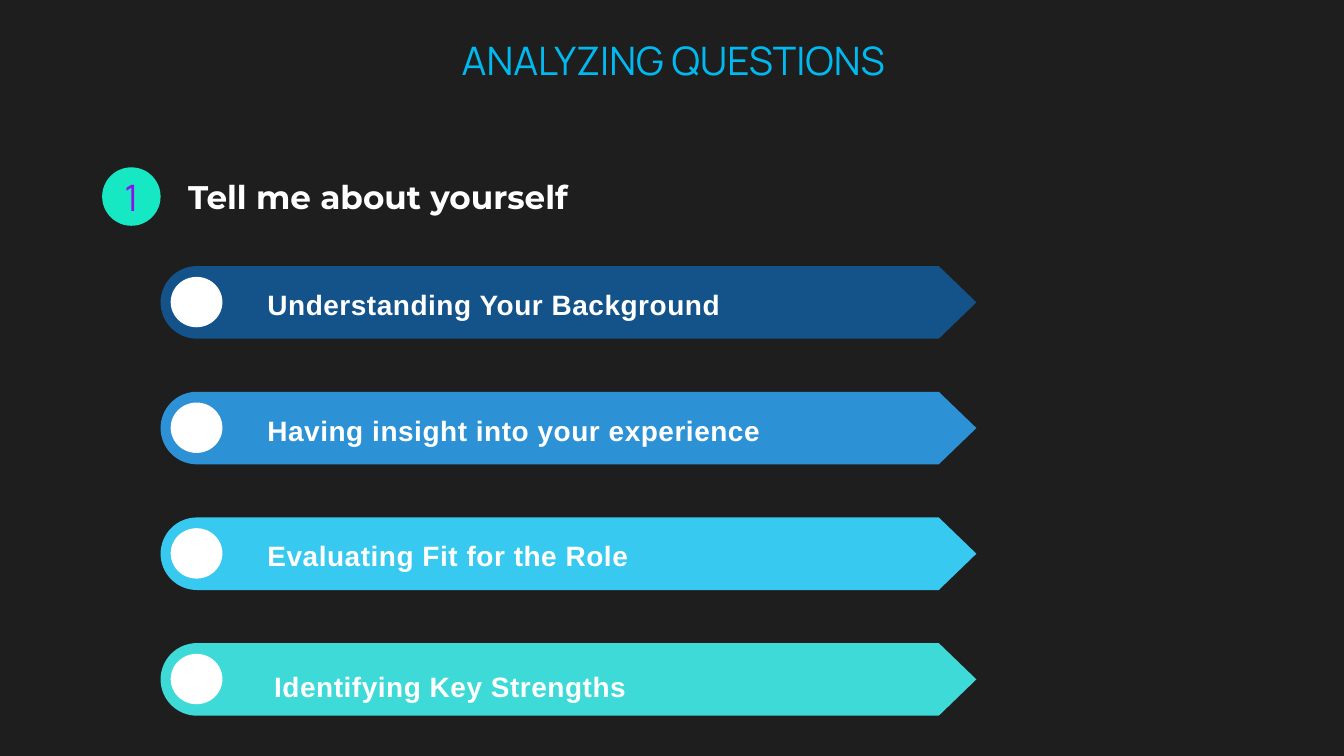
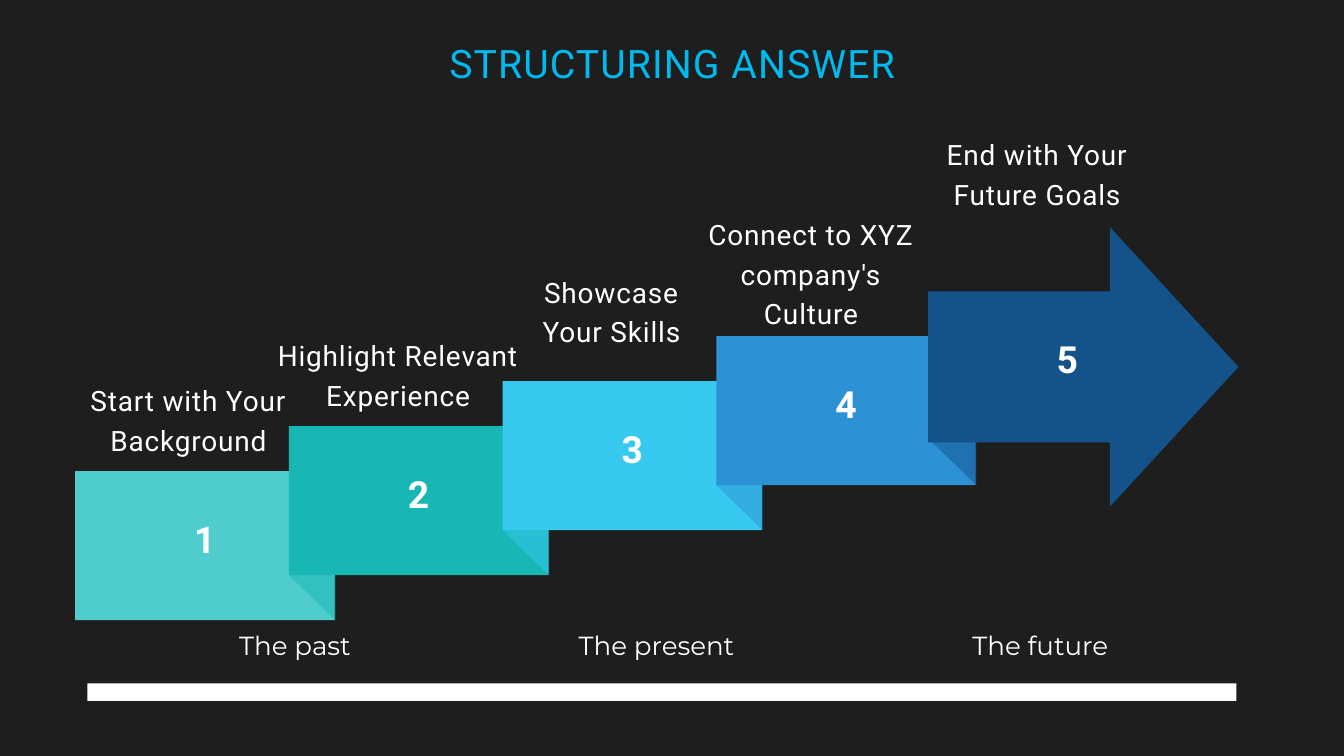
from math import cos, pi, sin

from pptx import Presentation
from pptx.dml.color import RGBColor
from pptx.enum.shapes import MSO_SHAPE
from pptx.enum.text import MSO_ANCHOR, MSO_AUTO_SIZE, PP_ALIGN
from pptx.oxml import parse_xml
from pptx.util import Inches, Pt

OVAL, RECT = MSO_SHAPE.OVAL, MSO_SHAPE.RECTANGLE
TRIANGLE, ARROW = MSO_SHAPE.RIGHT_TRIANGLE, MSO_SHAPE.RIGHT_ARROW
TOP, MIDDLE = MSO_ANCHOR.TOP, MSO_ANCHOR.MIDDLE
LEFT, CENTER = PP_ALIGN.LEFT, PP_ALIGN.CENTER
NO_FIT = MSO_AUTO_SIZE.NONE
TITLE_ONLY = 5
DARK, WHITE, TITLE_BLUE = "1E1E1E", "FFFFFF", "00B9EF"
NAVY, BLUE, SKY = "13538A", "2C92D5", "37C9EF"
AQUA, TEAL, MINT = "3EDAD8", "18B6B4", "4FCDCC"
NS = "http://schemas.openxmlformats.org/drawingml/2006/main"


def paint(sp, color, alpha=None):
    sp.shadow.inherit = False
    sp.fill.solid()
    sp.fill.fore_color.rgb = RGBColor.from_string(color)
    sp.line.fill.background()
    if alpha:
        clr = sp._element.spPr.find(f".//{{{NS}}}srgbClr")
        clr.append(parse_xml(f'<a:alpha xmlns:a="{NS}" val="{alpha * 1000}"/>'))


def write(sp, text, font, size, leading, color=WHITE, bold=False, align=CENTER,
          spacing=0, anchor=TOP, insets=(0, 0, 0, 0)):
    tf = sp.text_frame
    tf.word_wrap = True
    tf.auto_size = NO_FIT
    tf.vertical_anchor = anchor
    tf.margin_left, tf.margin_top, tf.margin_right, tf.margin_bottom = map(Inches, insets)
    tf.text = text
    p = tf.paragraphs[0]
    p.alignment = align
    p.line_spacing = Pt(leading)
    p.space_before = Pt(0)
    r = p.runs[0]
    r.font.name, r.font.size, r.font.bold = font, Pt(size), bold
    r.font.color.rgb = RGBColor.from_string(color)
    r._r.get_or_add_rPr().set("spc", str(round(spacing * 100)))


prs = Presentation()
prs.slide_width, prs.slide_height = Inches(20), Inches(11.25)
bg = prs.slide_master.background.fill
bg.solid()
bg.fore_color.rgb = RGBColor.from_string(DARK)

titles = [
    ("ANALYZING QUESTIONS", (6.13, 0.6, 7.78, 0.65), "Manrope", 46.2, 0),
    ("STRUCTURING ANSWER", (3.71, 0.52, 12.59, 0.76), "Roboto", 55, 1.2),
]
for text, box, font, leading, spacing in titles:
    s = prs.slides.add_slide(prs.slide_layouts[TITLE_ONLY])
    sp = s.shapes.title
    sp.left, sp.top, sp.width, sp.height = map(Inches, box)
    write(sp, text, font, 42, leading, TITLE_BLUE, spacing=spacing)

questions, structure = prs.slides

sp = questions.shapes.add_shape(OVAL, *map(Inches, (1.52, 2.49, 0.87, 0.87)))
paint(sp, "15E8C2")
sp = questions.shapes.add_textbox(*map(Inches, (1.52, 2.58, 0.87, 0.67)))
write(sp, "1", "Manrope", 39, 48.4, "900EED")
sp = questions.shapes.add_textbox(*map(Inches, (2.8, 2.53, 12.93, 0.65)))
write(sp, "Tell me about yourself", "Montserrat", 35, 49, bold=True, align=LEFT)

BAR_LEFT, BAR_TOP, BAR_RIGHT, RADIUS, BAR_STEP = 2.39, 3.96, 14.53, 0.54, 1.87
reasons = [
    ("Understanding Your Background", NAVY, 3.98, 0.2),
    ("Having insight into your experience", BLUE, 3.98, 0.2),
    ("Evaluating Fit for the Role", SKY, 3.98, 0.19),
    ("Identifying Key Strengths", AQUA, 4.08, 0.27),
]
for i, (text, color, left, drop) in enumerate(reasons):
    top = BAR_TOP + i * BAR_STEP
    mid = top + RADIUS
    cap = BAR_LEFT + RADIUS
    angles = [pi / 2 + pi * k / 32 for k in range(33)]
    outline = [(cap + RADIUS * cos(a), mid - RADIUS * sin(a)) for a in angles]
    outline += [(BAR_RIGHT - 0.56, mid + RADIUS), (BAR_RIGHT, mid), (BAR_RIGHT - 0.56, top)]
    points = [(Inches(x), Inches(y)) for x, y in outline]
    fb = questions.shapes.build_freeform(*points[0])
    fb.add_line_segments(points[1:], close=True)
    paint(fb.convert_to_shape(), color)
    sp = questions.shapes.add_shape(OVAL, *map(Inches, (2.54, top + 0.16, 0.77, 0.75)))
    paint(sp, WHITE)
    sp = questions.shapes.add_textbox(*map(Inches, (left, top + drop, 9.5, 0.58)))
    write(sp, text, "Arial", 30, 45, bold=True, align=LEFT, spacing=0.6)

CARD_W, CARD_H, STEP_X, STEP_Y, FOLD_W, FOLD_H = 3.86, 2.22, 3.18, 0.67, 0.69, 0.67
colors = [MINT, TEAL, SKY, BLUE, NAVY]
for i, color in enumerate(colors):
    x, y = 1.12 + i * STEP_X, 7.01 - i * STEP_Y
    if i < len(colors) - 1:
        sp = structure.shapes.add_shape(RECT, *map(Inches, (x, y, CARD_W, CARD_H)))
        insets = (0.06, 0.06, 0.06, 0.38)
    else:
        sp = structure.shapes.add_shape(ARROW, *map(Inches, (13.81, 3.38, 4.62, 4.16)))
        sp.adjustments[0], sp.adjustments[1] = 0.54, 0.46
        insets = (0.62, 0.06, 0.06, 0.42)
    paint(sp, color)
    write(sp, str(i + 1), "Roboto", 40, 56, bold=True, spacing=2, anchor=MIDDLE, insets=insets)
    if i < len(colors) - 1:
        fold = (x + STEP_X, y + CARD_H - FOLD_H, FOLD_W, FOLD_H)
        sp = structure.shapes.add_shape(TRIANGLE, *map(Inches, fold))
        sp.rotation = 180
        paint(sp, colors[i + 1], alpha=50)

steps = [
    ("Start with Your Background", (1.33, 5.63, 2.95, 1.14)),
    ("Highlight Relevant Experience", (4.05, 4.96, 3.75, 1.14)),
    ("Showcase Your Skills", (7.8, 4.02, 2.6, 1.14)),
    ("Connect to XYZ company's Culture", (10.4, 3.16, 3.34, 1.72)),
    ("End with Your Future Goals", (13.74, 1.97, 3.39, 1.14)),
]
for text, box in steps:
    sp = structure.shapes.add_textbox(*map(Inches, box))
    write(sp, text, "Roboto", 30, 42, spacing=0.9)

sp = structure.shapes.add_shape(RECT, *map(Inches, (1.3, 10.17, 17.1, 0.26)))
paint(sp, WHITE)
for text, left in [("The past", 2.38), ("The present", 7.76), ("The future", 13.47)]:
    sp = structure.shapes.add_textbox(*map(Inches, (left, 9.39, 4.02, 0.45)))
    write(sp, text, "Montserrat", 28, 31.9)

prs.save("out.pptx")
